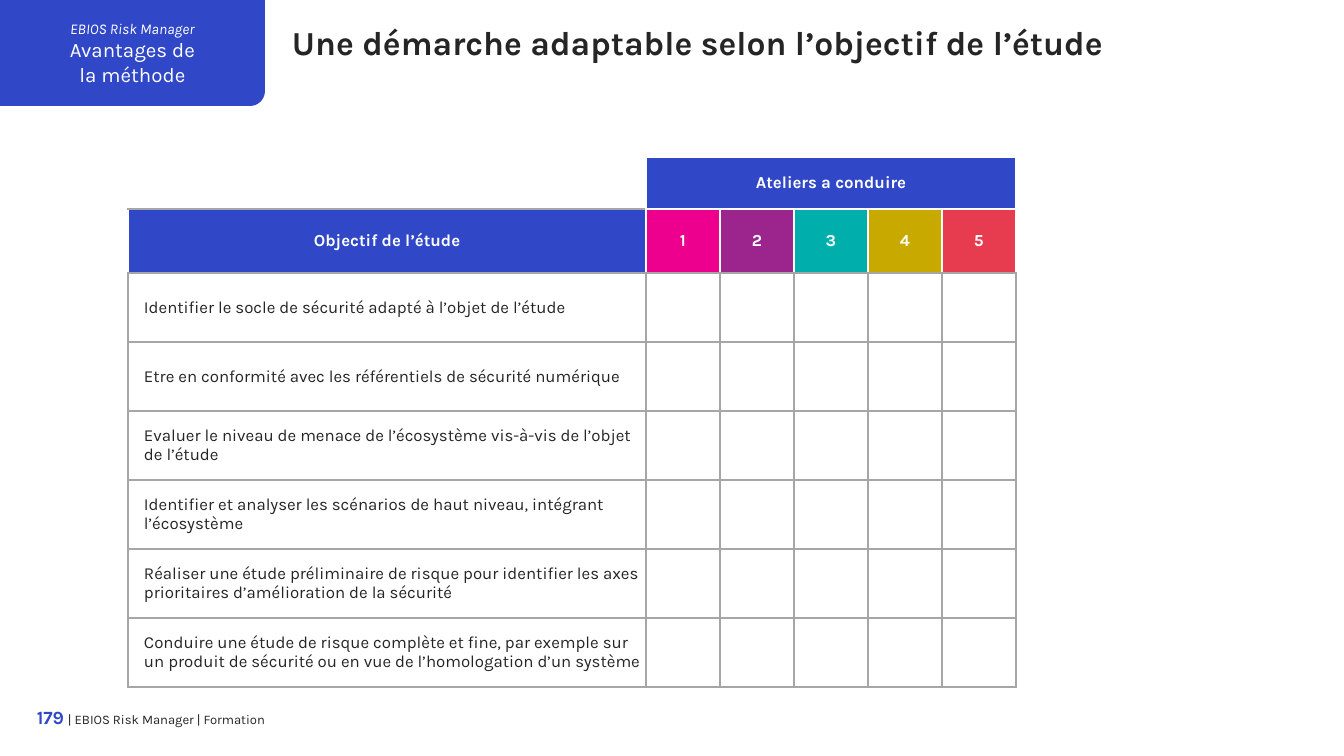
import copy
import math

import lxml.etree
import pptx
import pptx.dml.color
import pptx.enum.text
import pptx.oxml.ns
import pptx.util

RGB = pptx.dml.color.RGBColor
ALIGN = pptx.enum.text.PP_ALIGN
ANCHOR = pptx.enum.text.MSO_ANCHOR
BLUE = RGB(0x30, 0x48, 0xC8)
INK = RGB(0x25, 0x25, 0x25)
WHITE = RGB(0xFF, 0xFF, 0xFF)
GREY = RGB(0xA6, 0xA6, 0xA6)
WORKSHOP_COLORS = [RGB(0xED, 0x00, 0x8D), RGB(0x9C, 0x25, 0x8D), RGB(0x00, 0xAF, 0xAB),
                   RGB(0xC8, 0xA9, 0x00), RGB(0xE7, 0x3C, 0x50)]
PX = 914400 / 134.4  # EMU per px


def write(paragraph, text, size=9, color=INK, bold=False, italic=False, align=ALIGN.LEFT):
    """Add text to a paragraph; a newline becomes a line break."""
    paragraph.alignment = align
    for i, line in enumerate(text.split("\n")):
        if i:
            paragraph.add_line_break()
        run = paragraph.add_run()
        run.text = line
        run.font.name = "Karla"
        run.font.size = pptx.util.Pt(size)
        run.font.color.rgb = color
        run.font.bold = bold
        run.font.italic = italic
        if i:  # the break takes the size of the line after it
            run._r.getprevious().insert(0, copy.deepcopy(run._r.rPr))


def set_borders(cell, left, top, right, bottom):
    properties = cell._tc.get_or_add_tcPr()
    for side, color in zip("LRTB", (left, right, top, bottom)):
        line = lxml.etree.SubElement(properties, pptx.oxml.ns.qn(f"a:ln{side}"), w="12700")
        fill = lxml.etree.SubElement(line, pptx.oxml.ns.qn("a:solidFill"))
        lxml.etree.SubElement(fill, pptx.oxml.ns.qn("a:srgbClr"), val=str(color))


deck = pptx.Presentation()
deck.slide_width = round(1344 * PX)
deck.slide_height = round(756 * PX)
slide = deck.slides.add_slide(deck.slide_layouts[5])

# Title
title = slide.shapes.title
title.left, title.top, title.width, title.height = [round(v * PX) for v in (292, 22, 1005, 40)]
title_frame = title.text_frame
title_frame.margin_left = title_frame.margin_right = 0
title_frame.margin_top = title_frame.margin_bottom = 0
title_frame.vertical_anchor = ANCHOR.TOP
title_frame.word_wrap = True
title_frame.auto_size = pptx.enum.text.MSO_AUTO_SIZE.SHAPE_TO_FIT_TEXT
write(title_frame.paragraphs[0], "Une démarche adaptable selon l’objectif de l’étude", size=18, bold=True)

# Footer
footer = slide.shapes.add_textbox(*[round(v * PX) for v in (27, 706, 238, 27)])
footer_frame = footer.text_frame
footer_frame.margin_left = footer_frame.margin_right = 0
footer_frame.margin_top = footer_frame.margin_bottom = 0
footer_frame.word_wrap = True
footer_line = footer_frame.paragraphs[0]
write(footer_line, "179", size=10, color=BLUE, bold=True, align=ALIGN.RIGHT)
write(footer_line, " ", size=9, align=ALIGN.RIGHT)
write(footer_line, "| EBIOS Risk Manager | Formation", size=7, align=ALIGN.RIGHT)

# Section tab, rounded at its lower right corner
TAB_W, TAB_H, RADIUS = 265, 106, 15
corner_arc = [(TAB_W - RADIUS + RADIUS * math.cos(math.radians(a)),
               TAB_H - RADIUS + RADIUS * math.sin(math.radians(a))) for a in range(0, 91, 6)]
outline = slide.shapes.build_freeform(0, 0)
outline.add_line_segments([(round(x * PX), round(y * PX))
                           for x, y in [(TAB_W, 0), *corner_arc, (0, TAB_H)]], close=True)
section_tab = outline.convert_to_shape()
section_tab.shadow.inherit = False
section_tab.fill.solid()
section_tab.fill.fore_color.rgb = BLUE
section_tab.line.fill.background()
section_frame = section_tab.text_frame
section_frame.word_wrap = True
section_frame.vertical_anchor = ANCHOR.MIDDLE
write(section_frame.paragraphs[0], "EBIOS Risk Manager", size=8, color=WHITE, italic=True, align=ALIGN.CENTER)
write(section_frame.add_paragraph(), "Avantages de\nla méthode", size=11, color=WHITE, align=ALIGN.CENTER)

# Table: objectives against workshops
objectives = [
    "Identifier le socle de sécurité adapté à l’objet de l’étude",
    "Etre en conformité avec les référentiels de sécurité numérique",
    "Evaluer le niveau de menace de l’écosystème vis-à-vis de l’objet\nde l’étude",
    "Identifier et analyser les scénarios de haut niveau, intégrant l’écosystème",
    "Réaliser une étude préliminaire de risque pour identifier les axes prioritaires d’amélioration de la sécurité",
    "Conduire une étude de risque complète et fine, par exemple sur un produit de sécurité "
    "ou en vue de l’homologation d’un système",
]
rows = [["", "Ateliers a conduire", "", "", "", ""],
        ["Objectif de l’étude", "1", "2", "3", "4", "5"]]
rows += [[objective, "", "", "", "", ""] for objective in objectives]
column_widths = [518] + [74] * 5
row_heights = [52, 64] + [69] * len(objectives)
grid = slide.shapes.add_table(
    len(rows), len(column_widths),
    *[round(v * PX) for v in (128, 157, sum(column_widths), sum(row_heights))]).table
grid.first_row = grid.horz_banding = False
for column, width in zip(grid.columns, column_widths):
    column.width = round(width * PX)
for row, height in zip(grid.rows, row_heights):
    row.height = round(height * PX)
grid.cell(0, 1).merge(grid.cell(0, 5))

for r, texts in enumerate(rows):
    for c, text in enumerate(texts):
        cell = grid.cell(r, c)
        is_header = r < 2
        side = WHITE if is_header else GREY
        top = WHITE if r == 0 or (r == 1 and c > 0) else GREY
        bottom = WHITE if r == 0 and c > 0 else GREY
        set_borders(cell, side, top, side, bottom)
        if r == c == 0:
            cell.fill.background()
        else:
            cell.fill.solid()
            if r == 1 and c > 0:
                cell.fill.fore_color.rgb = WORKSHOP_COLORS[c - 1]
            else:
                cell.fill.fore_color.rgb = BLUE if is_header else WHITE
        cell.margin_left = round((5 if is_header else 16) * PX)
        cell.margin_right = round(5 * PX)
        cell.margin_top = cell.margin_bottom = 0
        cell.vertical_anchor = ANCHOR.MIDDLE
        if text:
            write(cell.text_frame.paragraphs[0], text, color=WHITE if is_header else INK,
                  bold=is_header, align=ALIGN.CENTER if is_header else ALIGN.LEFT)

deck.save("out.pptx")
